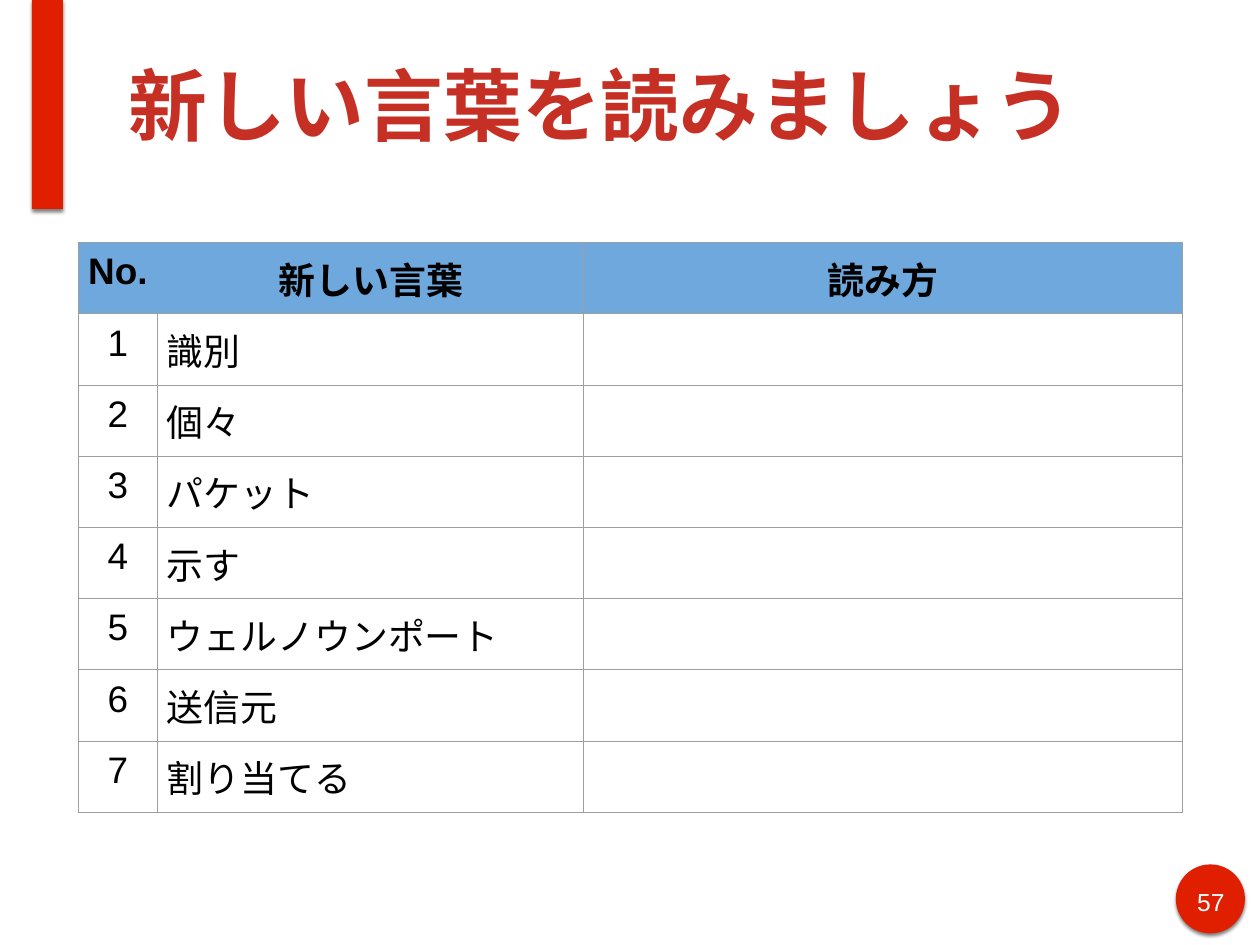
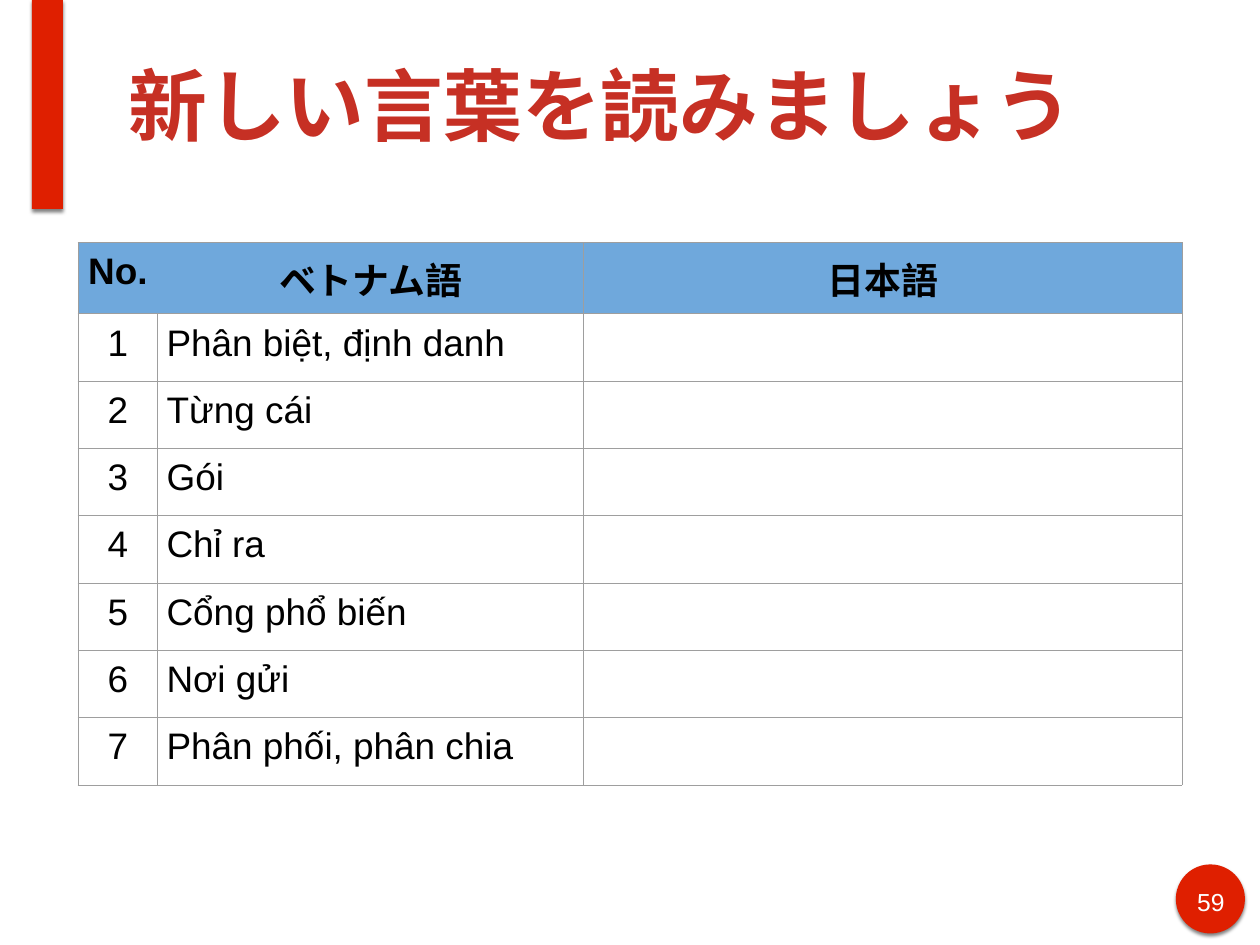
from dataclasses import dataclass

from pptx import Presentation
from pptx.dml.color import RGBColor as RGB
from pptx.enum.shapes import MSO_SHAPE as Form
from pptx.enum.text import MSO_ANCHOR as Anchor, MSO_AUTO_SIZE as Fit, PP_ALIGN as Align
from pptx.oxml import parse_xml
from pptx.oxml.ns import nsdecls
from pptx.util import Inches, Pt


@dataclass(frozen=True)
class Theme:
    font: str = "Arial"
    red: str = "DF1F00"
    title: str = "C63024"
    head: str = "6FA8DC"
    grid: str = "9E9E9E"
    ink: str = "000000"
    white: str = "FFFFFF"
    title_pt: int = 64
    cell_pt: int = 30
    page_pt: int = 20


SHADOW = (
    '<a:effectLst {ns}><a:outerShdw blurRad="{blur}" dist="{dist}" dir="5400000" '
    'algn="ctr" rotWithShape="0"><a:srgbClr val="{color}"><a:alpha val="50000"/>'
    "</a:srgbClr></a:outerShdw></a:effectLst>"
)
EDGE = '<a:{side} {ns} w="{width}"><a:solidFill><a:srgbClr val="{color}"/></a:solidFill></a:{side}>'
NO_EDGE = '<a:{side} {ns} w="0"><a:noFill/></a:{side}>'


class Deck:
    def __init__(self, theme):
        self.theme = theme
        self.show = Presentation()
        self.show.slide_width = Inches(14.22)
        self.show.slide_height = Inches(10.67)
        self.slide = None

    def start(self, title, page):
        self.slide = self.show.slides.add_slide(self.show.slide_layouts[5])
        self.mark(Form.OVAL, 13.27, 9.76, 0.78, 0.78)
        self.mark(Form.RECTANGLE, 0.36, 0, 0.35, 2.36)
        self.page(page)
        self.title(title)

    def mark(self, form, *box):
        shape = self.slide.shapes.add_shape(form, *map(Inches, box))
        shape.fill.solid()
        shape.fill.fore_color.rgb = RGB.from_string(self.theme.red)
        shape.line.fill.background()
        shape.element.spPr.append(parse_xml(SHADOW.format(
            ns=nsdecls("a"), blur=Pt(3), dist=Pt(2), color=self.theme.ink)))

    def page(self, number):
        box = self.slide.shapes.add_textbox(*map(Inches, (13.42, 9.95, 0.49, 0.39)))
        self.inset(box.text_frame)
        self.label(box.text_frame, str(number), self.theme.page_pt,
                   self.theme.white, align=Align.CENTER)

    def title(self, text):
        box = self.slide.shapes.title
        box.left, box.top, box.width, box.height = map(Inches, (1.39, 0.12, 12.14, 2.12))
        frame = box.text_frame
        self.inset(frame)
        frame.vertical_anchor = Anchor.MIDDLE
        self.label(frame, text, self.theme.title_pt, self.theme.title, bold=True)

    def inset(self, frame):
        frame.word_wrap = True
        frame.auto_size = Fit.NONE
        frame.margin_left = frame.margin_right = Inches(0.06)
        frame.margin_top = frame.margin_bottom = Inches(0.06)

    def label(self, frame, text, size, color, bold=False, align=Align.LEFT):
        frame.text = text
        para = frame.paragraphs[0]
        para.alignment = align
        for run in para.runs:
            run.font.name = self.theme.font
            run.font.size = Pt(size)
            run.font.bold = bold
            run.font.color.rgb = RGB.from_string(color)

    def table(self, heads, words):
        rows = [("No.", *heads)]
        rows += [(str(n), word, "") for n, word in enumerate(words, 1)]
        widths, height = (0.9, 4.81, 6.75), 0.76
        frame = self.slide.shapes.add_table(
            len(rows), len(widths), Inches(0.88), Inches(2.74),
            Inches(sum(widths)), Inches(height * len(rows)))
        table = frame.table
        table.first_row = table.horz_banding = False
        for col, width in zip(table.columns, widths):
            col.width = Inches(width)
        for r, row in enumerate(rows):
            table.rows[r].height = Inches(height)
            for c, text in enumerate(row):
                self.cell(table.cell(r, c), text, r == 0, c)

    def cell(self, cell, text, head, col):
        cell.margin_left = cell.margin_right = Inches(0.1)
        cell.margin_top = cell.margin_bottom = Inches(0.1)
        bare = {0: "lnR", 1: "lnL"}.get(col) if head else None
        props = cell._tc.get_or_add_tcPr()
        for side in ("lnL", "lnR", "lnT", "lnB"):
            edge = NO_EDGE if side == bare else EDGE
            props.append(parse_xml(edge.format(
                side=side, ns=nsdecls("a"), width=Pt(0.75), color=self.theme.grid)))
        if head:
            cell.fill.solid()
            cell.fill.fore_color.rgb = RGB.from_string(self.theme.head)
        else:
            cell.fill.background()
        align = Align.CENTER if head or col == 0 else Align.LEFT
        self.label(cell.text_frame, text, self.theme.cell_pt, self.theme.ink, head, align)


def main():
    deck = Deck(Theme())
    title = "新しい言葉を読みましょう"

    deck.start(title, 57)
    deck.table(
        ("新しい言葉", "読み方"),
        ("識別", "個々", "パケット", "示す", "ウェルノウンポート", "送信元", "割り当てる"))

    deck.start(title, 59)
    deck.table(
        ("ベトナム語", "日本語"),
        ("Phân biệt, định danh", "Từng cái", "Gói", "Chỉ ra", "Cổng phổ biến",
         "Nơi gửi", "Phân phối, phân chia"))

    deck.show.save("out.pptx")


if __name__ == "__main__":
    main()
